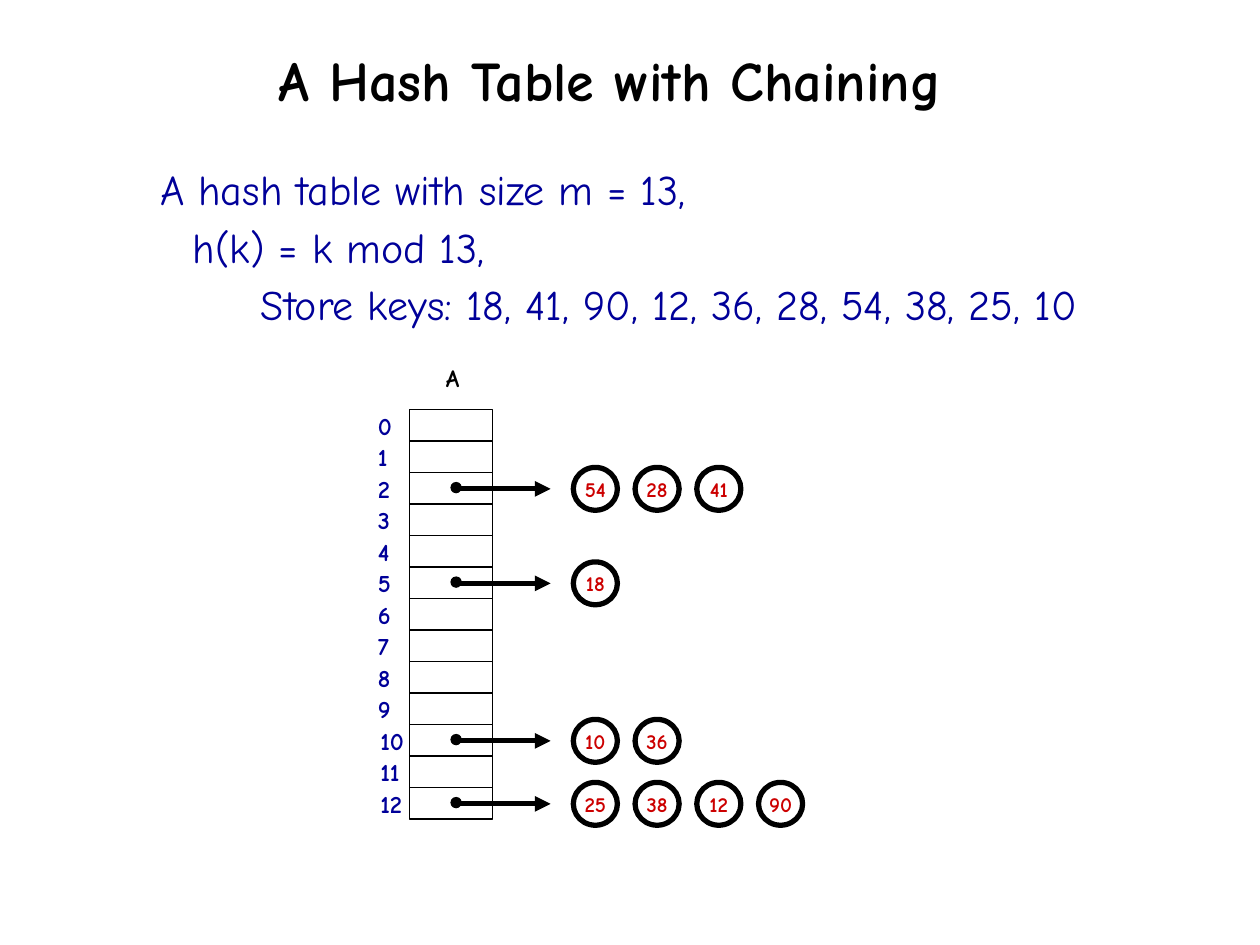
from lxml.etree import SubElement
from pptx import Presentation
from pptx.dml.color import RGBColor
from pptx.enum.shapes import MSO_CONNECTOR, MSO_SHAPE
from pptx.enum.text import MSO_ANCHOR, MSO_AUTO_SIZE, PP_ALIGN
from pptx.oxml.ns import qn
from pptx.util import Pt

PX = 9144
BLACK = RGBColor(0x00, 0x00, 0x00)
NAVY = RGBColor(0x00, 0x00, 0x99)
RED = RGBColor(0xCC, 0x00, 0x00)
FONT = "Comic Neue"

TABLE_SIZE = 13
ROW_HEIGHT = 25
TABLE_LEFT, TABLE_TOP, SLOT_WIDTH = 325, 325, 66
CHAIN_LEFT, CHAIN_STEP = 455, 49
KEY_WIDTH, KEY_HEIGHT = 35, 34
CHAINS = {
    2: [54, 28, 41],
    5: [18],
    10: [10, 36],
    12: [25, 38, 12, 90],
}
STATEMENTS = [
    ("A hash table with size m = 13,", 0),
    ("h(k) = k mod 13,", 26),
    ("Store keys: 18, 41, 90, 12, 36, 28, 54, 38, 25, 10", 80),
]


def write(paragraph, text, size, color, bold=True, align=PP_ALIGN.LEFT, indent=0, before=0):
    properties = paragraph._p.get_or_add_pPr()
    properties.set("marL", str(indent * PX))
    properties.set("indent", "0")
    SubElement(properties, qn("a:buNone"))
    paragraph.alignment = align
    paragraph.space_before = Pt(before)
    run = paragraph.add_run()
    run.text = text
    run.font.name = FONT
    run.font.size = Pt(size)
    run.font.bold = bold
    run.font.color.rgb = color


def outline(preset, left, top, width, height, weight):
    shape = slide.shapes.add_shape(preset, left * PX, top * PX, width * PX, height * PX)
    shape.shadow.inherit = False
    shape.fill.background()
    shape.line.color.rgb = BLACK
    shape.line.width = Pt(weight)
    return shape


presentation = Presentation()
presentation.slide_width = 1000 * PX
presentation.slide_height = 750 * PX
slide = presentation.slides.add_slide(presentation.slide_layouts[1])

heading = slide.shapes.title
heading.left, heading.top, heading.width, heading.height = 211 * PX, 31 * PX, 550 * PX, 64 * PX
heading.text_frame.vertical_anchor = MSO_ANCHOR.TOP
heading.text_frame.auto_size = MSO_AUTO_SIZE.NONE
write(heading.text_frame.paragraphs[0], "A Hash Table with Chaining", size=32, color=BLACK)

problem = slide.placeholders[1]
problem.left, problem.top, problem.width, problem.height = 117 * PX, 125 * PX, 833 * PX, 142 * PX
problem.text_frame.auto_size = MSO_AUTO_SIZE.NONE
for number, (statement, indent) in enumerate(STATEMENTS):
    line = problem.text_frame.add_paragraph() if number else problem.text_frame.paragraphs[0]
    write(line, statement, size=24, color=NAVY, bold=False, indent=indent, before=4 if number else 0)

labels = [("A", 344, 283, BLACK)]
for slot in range(TABLE_SIZE):
    row_top = TABLE_TOP + slot * ROW_HEIGHT
    outline(MSO_SHAPE.RECTANGLE, TABLE_LEFT, row_top, SLOT_WIDTH, ROW_HEIGHT, weight=0.75)
    labels.append((str(slot), 290 if slot < 10 else 292, row_top - 4, NAVY))

for label, left, top, color in labels:
    caption = slide.shapes.add_textbox(left * PX, top * PX, 39 * PX, 34 * PX)
    caption.text_frame.word_wrap = True
    caption.text_frame.margin_right = 0
    write(caption.text_frame.paragraphs[0], label, size=14, color=color)

for slot, keys in CHAINS.items():
    row_top = TABLE_TOP + slot * ROW_HEIGHT
    dot = outline(MSO_SHAPE.OVAL, 358, row_top + 8, 8, 8, weight=0.75)
    dot.fill.solid()
    dot.fill.fore_color.rgb = BLACK

    arrow_y = (row_top + 13) * PX
    pointer = slide.shapes.add_connector(MSO_CONNECTOR.STRAIGHT, 363 * PX, arrow_y, 437 * PX, arrow_y)
    pointer.line.color.rgb = BLACK
    pointer.line.width = Pt(3)
    SubElement(pointer.line._get_or_add_ln(), qn("a:tailEnd"), type="triangle")
    SubElement(pointer._element.spPr, qn("a:effectLst"))

    for position, key in enumerate(keys):
        left = CHAIN_LEFT + position * CHAIN_STEP
        node = outline(MSO_SHAPE.OVAL, left, row_top - 4, KEY_WIDTH, KEY_HEIGHT, weight=3)
        frame = node.text_frame
        frame.word_wrap = False
        frame.margin_left = frame.margin_right = frame.margin_top = frame.margin_bottom = 0
        frame.vertical_anchor = MSO_ANCHOR.MIDDLE
        write(frame.paragraphs[0], str(key), size=12, color=RED, align=PP_ALIGN.CENTER)

presentation.save("out.pptx")
